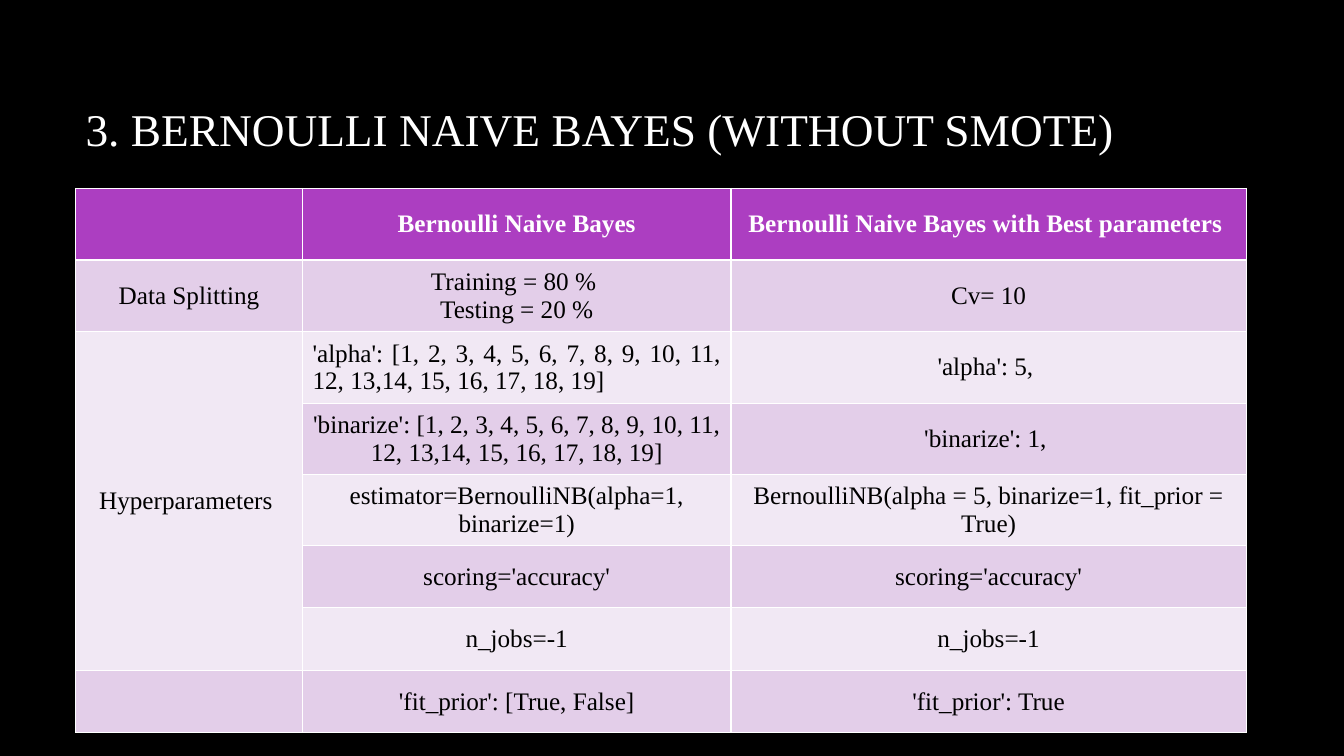
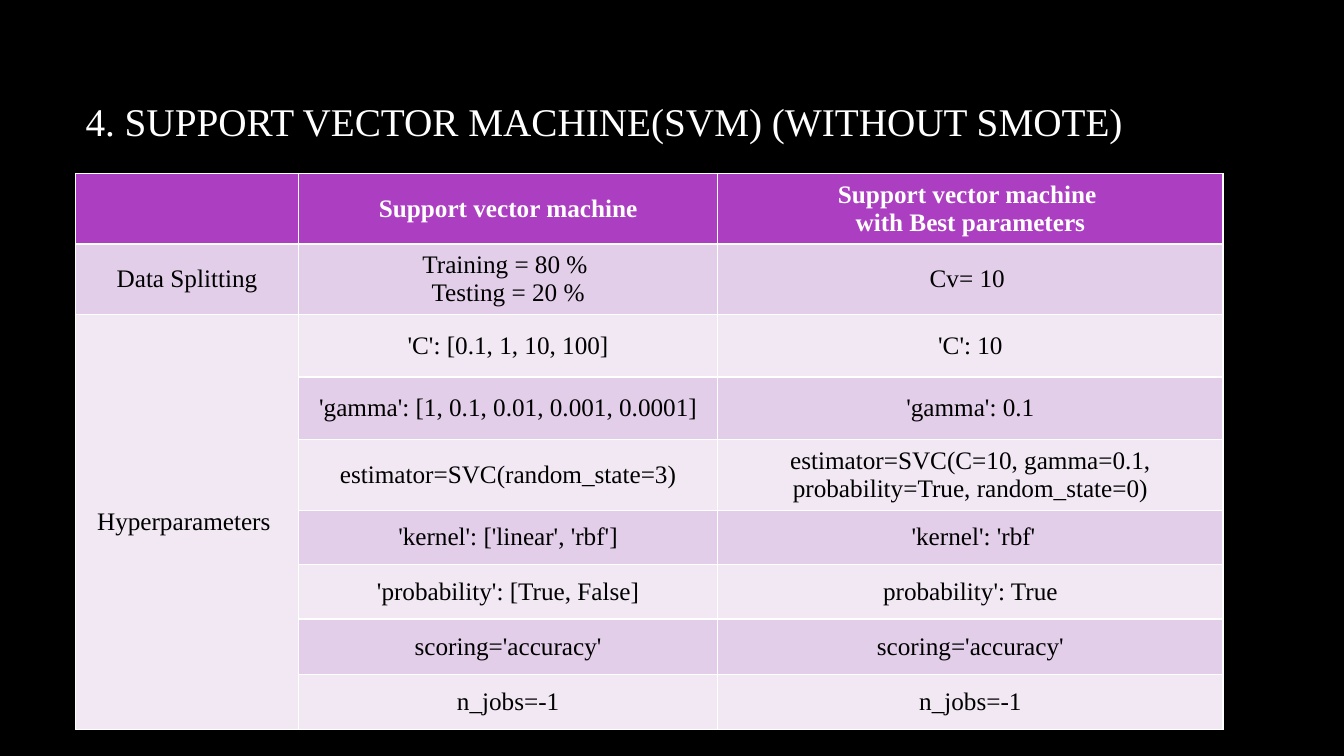
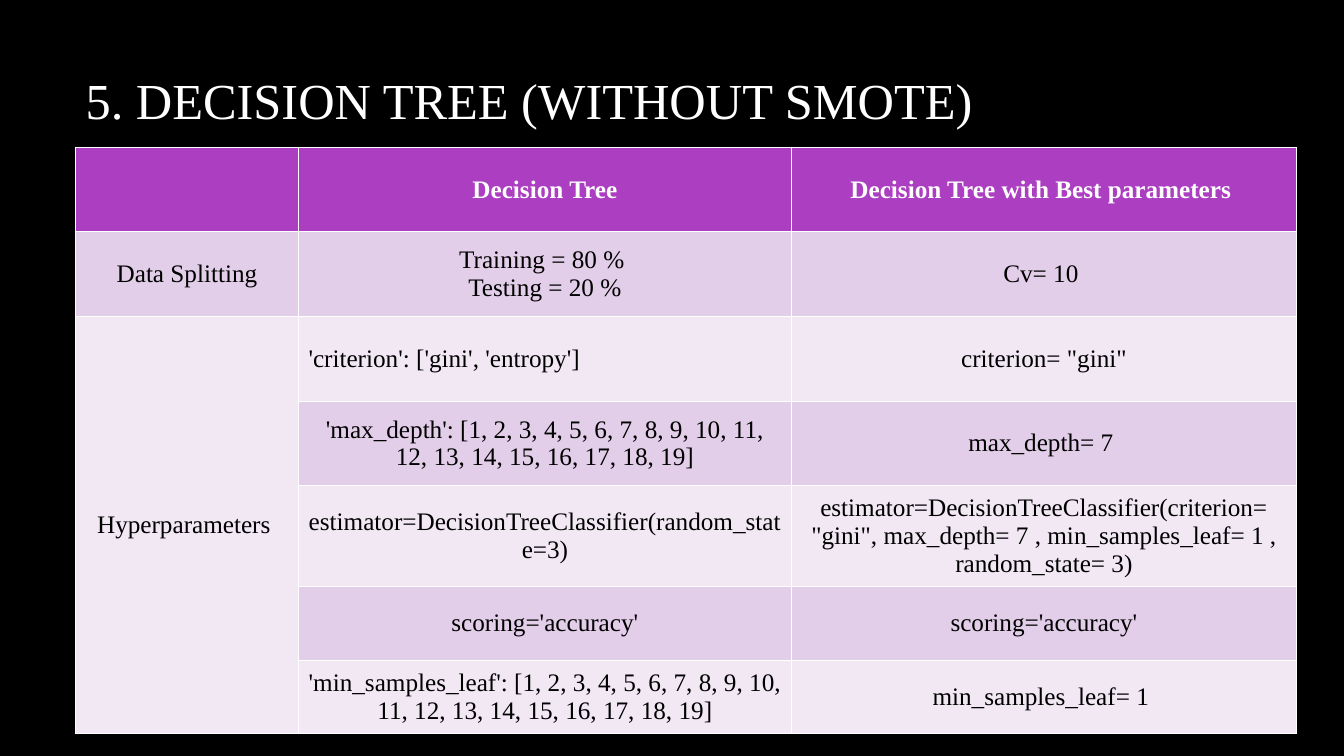
from pptx import Presentation
from pptx.dml.color import RGBColor
from pptx.enum.text import MSO_ANCHOR, PP_ALIGN
from pptx.util import Inches, Pt

BLACK = RGBColor(0x00, 0x00, 0x00)
WHITE = RGBColor(0xFF, 0xFF, 0xFF)
PURPLE = RGBColor(0xAC, 0x3E, 0xC1)
LILAC = RGBColor(0xE3, 0xCE, 0xE9)
PALE_LILAC = RGBColor(0xF1, 0xE8, 0xF4)
FONT = "Times New Roman"
LEFT = 0.75
TITLE_WIDTH = 11.08
FIRST_SETTING_ROW = 2

ONE_TO_TEN = "[1, 2, 3, 4, 5, 6, 7, 8, 9, 10, 11, 12, 13,"
SPLITTING = "Training = 80 % \nTesting = 20 %"
SCORING = ("scoring='accuracy'", "scoring='accuracy'")
JOBS = ("n_jobs=-1", "n_jobs=-1")

# Each row holds the searched values and the best ones; the first row is the header.
MODELS = [
    {
        "title": "3. BERNOULLI NAIVE BAYES (WITHOUT SMOTE)",
        "title_size": 32.4, "title_top": 0.67, "table_top": 1.87,
        "columns": [2.25, 4.25, 5.11],
        "heights": [0.71] * 4 + [0.63] + [0.62] * 3,
        "last_merged_row": 6,
        "first_setting_alignment": PP_ALIGN.JUSTIFY,
        "rows": [
            ("Bernoulli Naive Bayes", "Bernoulli Naive Bayes with Best parameters "),
            (SPLITTING, "Cv= 10"),
            (f"'alpha': {ONE_TO_TEN}14, 15, 16, 17, 18, 19]", "'alpha': 5, "),
            (f"'binarize': {ONE_TO_TEN}14, 15, 16, 17, 18, 19]", "'binarize': 1, "),
            ("estimator=BernoulliNB(alpha=1, binarize=1)",
             "BernoulliNB(alpha = 5, binarize=1, fit_prior = True)"),
            SCORING,
            JOBS,
            ("'fit_prior': [True, False]", "'fit_prior': True"),
        ],
    },
    {
        "title": "4. SUPPORT VECTOR MACHINE(SVM) (WITHOUT SMOTE)",
        "title_size": 28, "title_top": 0.67, "table_top": 1.72,
        "columns": [2.21, 4.16, 5.01],
        "heights": [0.62] * 4 + [0.54] * 3 + [0.55] * 2,
        "last_merged_row": 8,
        "first_setting_alignment": PP_ALIGN.CENTER,
        "rows": [
            ("Support vector machine", "Support vector machine \n with Best parameters "),
            (SPLITTING, "Cv= 10 "),
            ("'C': [0.1, 1, 10, 100]", "'C': 10"),
            ("'gamma': [1, 0.1, 0.01, 0.001, 0.0001]", "'gamma': 0.1"),
            ("estimator=SVC(random_state=3)",
             "estimator=SVC(C=10, gamma=0.1, probability=True, random_state=0)"),
            ("'kernel': ['linear', 'rbf']", " 'kernel': 'rbf'"),
            ("'probability': [True, False]", "probability': True"),
            SCORING,
            JOBS,
        ],
    },
    {
        "title": "5. DECISION TREE (WITHOUT SMOTE)",
        "title_size": 36, "title_top": 0.52, "table_top": 1.46,
        "columns": [2.21, 4.89, 5.01],
        "heights": [0.84] * 4 + [0.94] + [0.73] * 2,
        "last_merged_row": 6,
        "first_setting_alignment": PP_ALIGN.JUSTIFY,
        "rows": [
            ("Decision Tree", "Decision Tree with Best parameters "),
            (SPLITTING, "Cv= 10 "),
            ("'criterion': ['gini', 'entropy']", 'criterion= "gini"'),
            (f"'max_depth': {ONE_TO_TEN} 14, 15, 16, 17, 18, 19]", "max_depth= 7 "),
            ("estimator=DecisionTreeClassifier(random_state=3)",
             'estimator=DecisionTreeClassifier(criterion= "gini", max_depth= 7 , '
             "min_samples_leaf= 1 , random_state= 3)"),
            SCORING,
            (f"'min_samples_leaf': {ONE_TO_TEN} 14, 15, 16, 17, 18, 19]",
             "min_samples_leaf= 1 "),
        ],
    },
]


def write_text(frame, text, size=18, color=BLACK, bold=False, alignment=PP_ALIGN.CENTER):
    """Fill a text frame, one paragraph for each line of the text."""
    frame.text = text
    frame.word_wrap = True
    for paragraph in frame.paragraphs:
        paragraph.alignment = alignment
        for run in paragraph.runs:
            run.font.name = FONT
            run.font.size = Pt(size)
            run.font.bold = bold
            run.font.color.rgb = color


presentation = Presentation()
presentation.slide_width = Inches(13.33)
presentation.slide_height = Inches(7.5)
blank_layout = presentation.slide_layouts[6]

for model in MODELS:
    slide = presentation.slides.add_slide(blank_layout)
    slide.background.fill.solid()
    slide.background.fill.fore_color.rgb = BLACK

    title = slide.shapes.add_textbox(
        Inches(LEFT), Inches(model["title_top"]), Inches(TITLE_WIDTH),
        Inches(model["table_top"] - model["title_top"]))
    title.text_frame.vertical_anchor = MSO_ANCHOR.MIDDLE
    write_text(title.text_frame, model["title"], size=model["title_size"],
               color=WHITE, alignment=PP_ALIGN.LEFT)

    table = slide.shapes.add_table(
        len(model["rows"]), len(model["columns"]),
        Inches(LEFT), Inches(model["table_top"]),
        Inches(sum(model["columns"])), Inches(sum(model["heights"]))).table
    for column, width in zip(table.columns, model["columns"]):
        column.width = Inches(width)
    for row, height in zip(table.rows, model["heights"]):
        row.height = Inches(height)

    labels = {1: "Data Splitting", FIRST_SETTING_ROW: "Hyperparameters "}
    for row_index, values in enumerate(model["rows"]):
        is_header = row_index == 0
        band = PURPLE if is_header else LILAC if row_index % 2 else PALE_LILAC
        for column_index, text in enumerate((labels.get(row_index, ""), *values)):
            cell = table.cell(row_index, column_index)
            cell.fill.solid()
            cell.fill.fore_color.rgb = band
            cell.vertical_anchor = MSO_ANCHOR.MIDDLE
            is_first_setting = (row_index, column_index) == (FIRST_SETTING_ROW, 1)
            write_text(
                cell.text_frame, text, bold=is_header,
                color=WHITE if is_header else BLACK,
                alignment=model["first_setting_alignment"] if is_first_setting
                else PP_ALIGN.CENTER)
    table.cell(FIRST_SETTING_ROW, 0).merge(table.cell(model["last_merged_row"], 0))

presentation.save("out.pptx")
